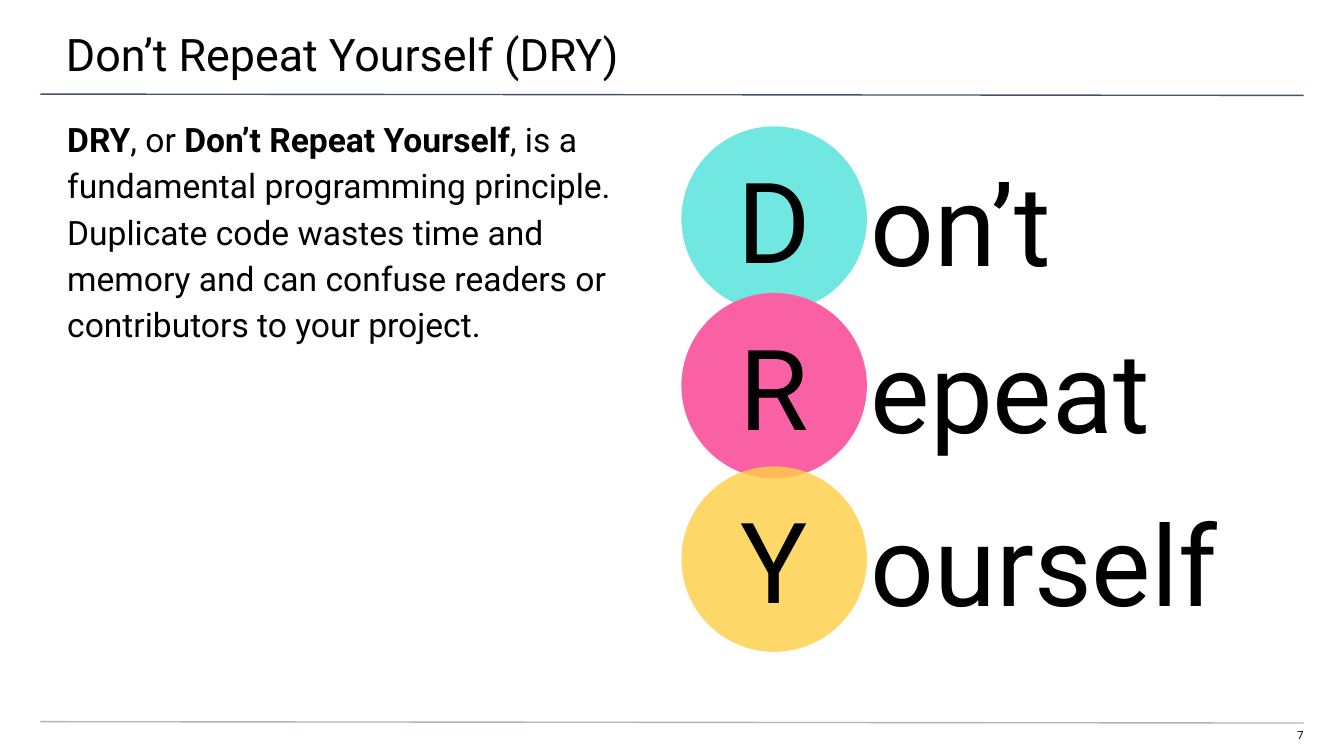
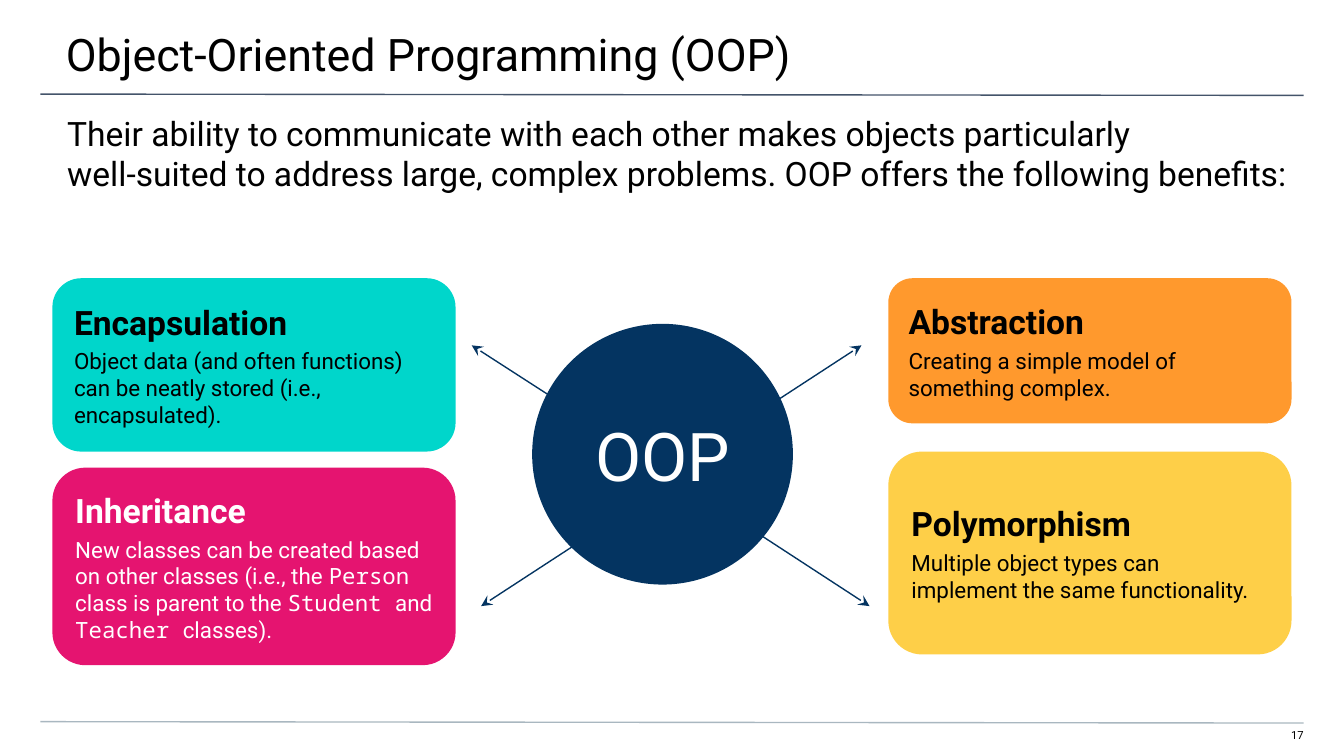
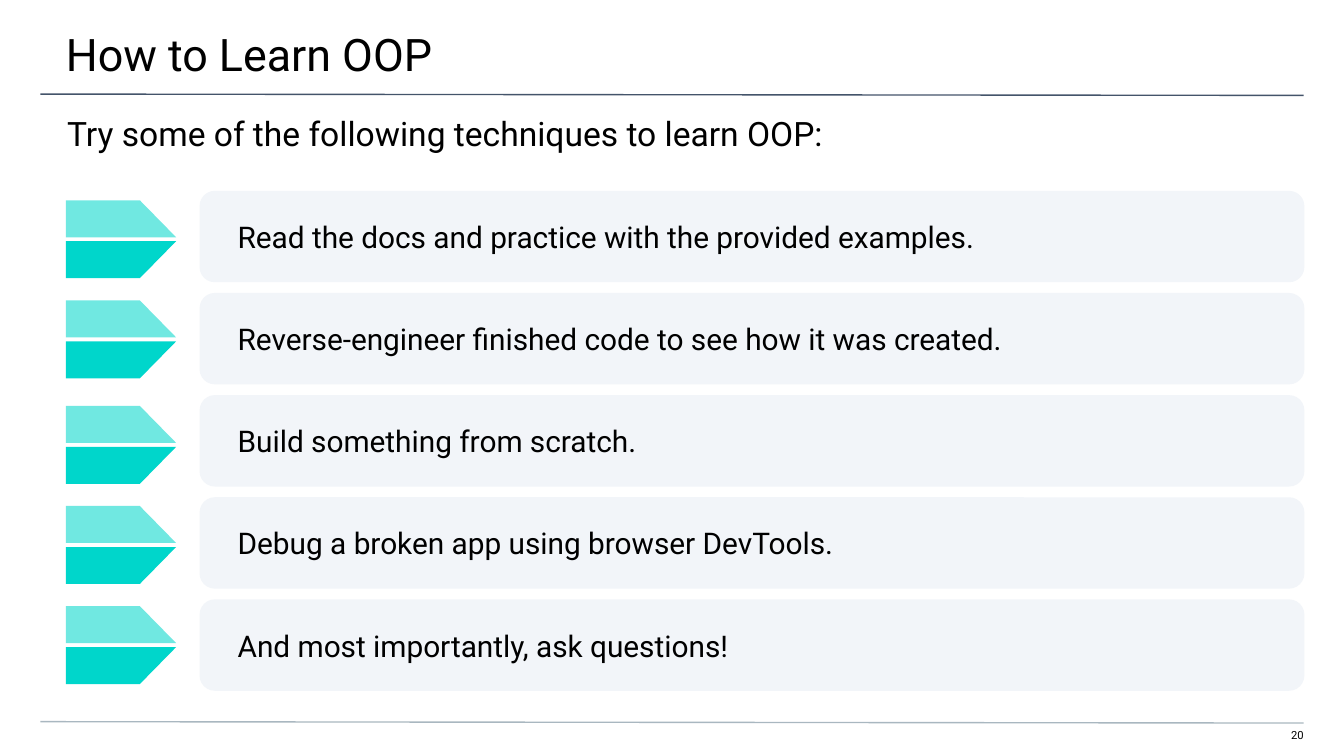
import pptx
import pptx.dml.color
import pptx.enum.shapes
import pptx.enum.text
import pptx.oxml.ns
import pptx.util
import lxml.etree

RGBColor = pptx.dml.color.RGBColor
BLACK = RGBColor(0x00, 0x00, 0x00)
WHITE = RGBColor(0xFF, 0xFF, 0xFF)
SLATE = RGBColor(0x44, 0x54, 0x6A)
SILVER = RGBColor(0xA9, 0xB7, 0xC0)
NAVY = RGBColor(0x04, 0x34, 0x61)
TURQUOISE = RGBColor(0x00, 0xD6, 0xCB)
PINK = RGBColor(0xFA, 0x61, 0xA5)
MAGENTA = RGBColor(0xE5, 0x14, 0x70)
ORANGE = RGBColor(0xFF, 0x99, 0x2D)
YELLOW = RGBColor(0xFE, 0xCF, 0x48)
MIST = RGBColor(0xF2, 0xF5, 0xF9)

SANS, MONO = "Roboto", "Noto Sans Mono"
OVAL = pptx.enum.shapes.MSO_SHAPE.OVAL
ROUNDED = pptx.enum.shapes.MSO_SHAPE.ROUNDED_RECTANGLE
STRAIGHT = pptx.enum.shapes.MSO_CONNECTOR.STRAIGHT
TOP = pptx.enum.text.MSO_ANCHOR.TOP
MIDDLE = pptx.enum.text.MSO_ANCHOR.MIDDLE
LEFT = pptx.enum.text.PP_ALIGN.LEFT
CENTER = pptx.enum.text.PP_ALIGN.CENTER
RIGHT = pptx.enum.text.PP_ALIGN.RIGHT
qn = pptx.oxml.ns.qn

presentation = pptx.Presentation()
presentation.slide_width = pptx.util.Inches(10)
presentation.slide_height = presentation.slide_width * 9 // 16
GRID = presentation.slide_width / 100


def on_grid(*units):
    """Turn grid units (hundredths of the slide width) into lengths."""
    return [pptx.util.Emu(round(unit * GRID)) for unit in units]


def style(shape, text="", size=12, color=BLACK, fill=None, opacity=100,
          insets=(1, 1, 1, 1), anchor=MIDDLE, alignment=LEFT):
    """Fill a shape and write its text; a backtick starts a new run."""
    if fill is not None:
        shape.shadow.inherit = False
        shape.line.fill.background()
        shape.fill.solid()
        shape.fill.fore_color.rgb = fill
        if opacity < 100:
            color_element = shape._element.spPr.find(qn("a:solidFill"))[0]
            lxml.etree.SubElement(color_element, qn("a:alpha"), val=str(opacity * 1000))
    if not text:
        return
    frame = shape.text_frame
    frame.word_wrap = True
    frame.auto_size = pptx.enum.text.MSO_AUTO_SIZE.NONE
    frame.vertical_anchor = anchor
    (frame.margin_left, frame.margin_top,
     frame.margin_right, frame.margin_bottom) = on_grid(*insets)
    for index, line in enumerate(text.split("\n")):
        paragraph = frame.add_paragraph() if index else frame.paragraphs[0]
        first, *others = line.split("`")
        paragraph.text = first
        for piece in others:
            paragraph.add_run().text = piece
        paragraph.alignment = alignment
        paragraph.space_before = pptx.util.Pt(0)
        paragraph.font.name = SANS
        paragraph.font.size = pptx.util.Pt(size)
        paragraph.font.color.rgb = color


# Shared frame: title, introduction, rules, page number
RULES = [(3, 7, 97, 7.1, SLATE, False), (3, 53.7, 97, 53.8, SILVER, False)]
ARROWS = [
    (44.1, 31.5, 35.1, 25.7, NAVY, True),
    (55.2, 31.5, 64.1, 25.7, NAVY, True),
    (44.7, 39.3, 35.8, 45.1, NAVY, True),
    (55.8, 39.3, 64.7, 45.1, NAVY, True),
]
PAGES = [
    ("7", "Don’t Repeat Yourself (DRY)",
     "DRY`, or `Don’t Repeat Yourself`, is a fundamental programming principle. "
     "Duplicate code wastes time and memory and can confuse readers or "
     "contributors to your project.", 51.7, 23.9, RULES),
    ("17", "Object-Oriented Programming (OOP)",
     "Their ability to communicate with each other makes objects particularly\v"
     "well-suited to address large, complex problems. "
     "OOP offers the following benefits:", 103.2, 4, RULES + ARROWS),
    ("20", "How to Learn OOP",
     "Try some of the following techniques to learn OOP:", 100, 4, RULES),
]

for number, title, introduction, width, height, lines in PAGES:
    slide = presentation.slides.add_slide(presentation.slide_layouts[0])
    heading, body = slide.placeholders
    heading.left, heading.top, heading.width, heading.height = on_grid(-0.1, 0, 100.3, 5.8)
    style(heading, title, 24, insets=(5, 2, 3, 1), anchor=TOP)
    body.left, body.top, body.width, body.height = on_grid(0, 7.4, width, height)
    style(body, introduction, 18, insets=(5, 1, 5, 0), anchor=TOP)
    page_number = slide.shapes.add_textbox(*on_grid(94.1, 54.2, 2.9, 1.2))
    style(page_number, number, 6, insets=(0, 0, 0, 1), anchor=TOP, alignment=RIGHT)
    for *ends, color, has_arrowhead in lines:
        connector = slide.shapes.add_connector(STRAIGHT, *on_grid(*ends))
        connector.line.color.rgb = color
        connector.line.width = pptx.util.Pt(0.75)
        properties = connector._element.spPr
        if has_arrowhead:
            lxml.etree.SubElement(properties.find(qn("a:ln")), qn("a:tailEnd"), type="stealth")
        lxml.etree.SubElement(properties, qn("a:effectLst"))

dry_slide, oop_slide, learning_slide = presentation.slides

# Don't Repeat Yourself
definition = dry_slide.placeholders[1].text_frame.paragraphs[0]
definition.line_spacing = 1.15
for run in definition.runs[::2]:
    run.font.bold = True

WORDS = [
    ("D", "on’t", 9.4, TURQUOISE, 56),
    ("R", "epeat", 21.8, PINK, 100),
    ("Y", "ourself", 34.7, YELLOW, 82),
]
for initial, ending, top, fill, opacity in WORDS:
    circle = dry_slide.shapes.add_shape(OVAL, *on_grid(50.7, top, 13.8, 13.8))
    style(circle, initial, 60, fill=fill, opacity=opacity, alignment=CENTER)
    ending_box = dry_slide.shapes.add_textbox(*on_grid(63.8, top + 1.1, 31.3, 6.9))
    style(ending_box, ending, 60, anchor=TOP)

# Object-oriented programming
hub = oop_slide.shapes.add_shape(OVAL, *on_grid(39.6, 24.1, 19.4, 19.4))
style(hub, "OOP", 36, WHITE, NAVY, alignment=CENTER)

BENEFITS = [
    (3.9, 20.7, 12.9, TURQUOISE, BLACK, "Encapsulation",
     "Object data (and often functions) can be neatly stored (i.e., encapsulated)."),
    (3.9, 34.8, 14.7, MAGENTA, WHITE, "Inheritance",
     "New classes can be created based on other classes (i.e., the `Person `"
     "class is parent to the `Student `and `Teacher `classes)."),
    (66.1, 20.7, 10.8, ORANGE, BLACK, "Abstraction",
     "Creating a simple model of something complex."),
    (66.1, 33.6, 15.1, YELLOW, BLACK, "Polymorphism",
     "Multiple object types can implement the same functionality."),
]
for left, top, height, fill, color, benefit, explanation in BENEFITS:
    card = oop_slide.shapes.add_shape(ROUNDED, *on_grid(left, top, 30, height))
    style(card, f"{benefit}\n{explanation}", 12, color, fill)
    benefit_line, explanation_line = card.text_frame.paragraphs
    benefit_line.font.size = pptx.util.Pt(18)
    benefit_line.font.bold = True
    explanation_line.space_before = explanation_line.space_after = pptx.util.Pt(3)
    for run in explanation_line.runs[1::2]:
        run.font.name = MONO

# How to learn
TECHNIQUES = [
    ("Read the docs and practice with the provided examples.", 14.9),
    ("Reverse-engineer finished code to see how it was created.", 22.35),
    ("Build something from scratch.", 30.2),
    ("Debug a broken app using browser DevTools.", 37.65),
    ("And most importantly, ask questions!", 45.1),
]
for index, (technique, ribbon_top) in enumerate(TECHNIQUES):
    bar = learning_slide.shapes.add_shape(
        ROUNDED, *on_grid(14.85, 14.2 + 7.6 * index, 82.2, 6.8))
    style(bar, technique, 16, fill=MIST, insets=(2.5, 1, 1, 1))
    for edge, seam, opacity in ((0, 2.75, 56), (5.8, 3.05, 100)):
        edge_y, seam_y = on_grid(ribbon_top + edge, ribbon_top + seam)
        back, shoulder, tip = on_grid(4.9, 10.4, 13.1)
        builder = learning_slide.shapes.build_freeform(back, edge_y)
        builder.add_line_segments([(back, seam_y), (tip, seam_y), (shoulder, edge_y)])
        style(builder.convert_to_shape(), fill=TURQUOISE, opacity=opacity)

presentation.save("out.pptx")
